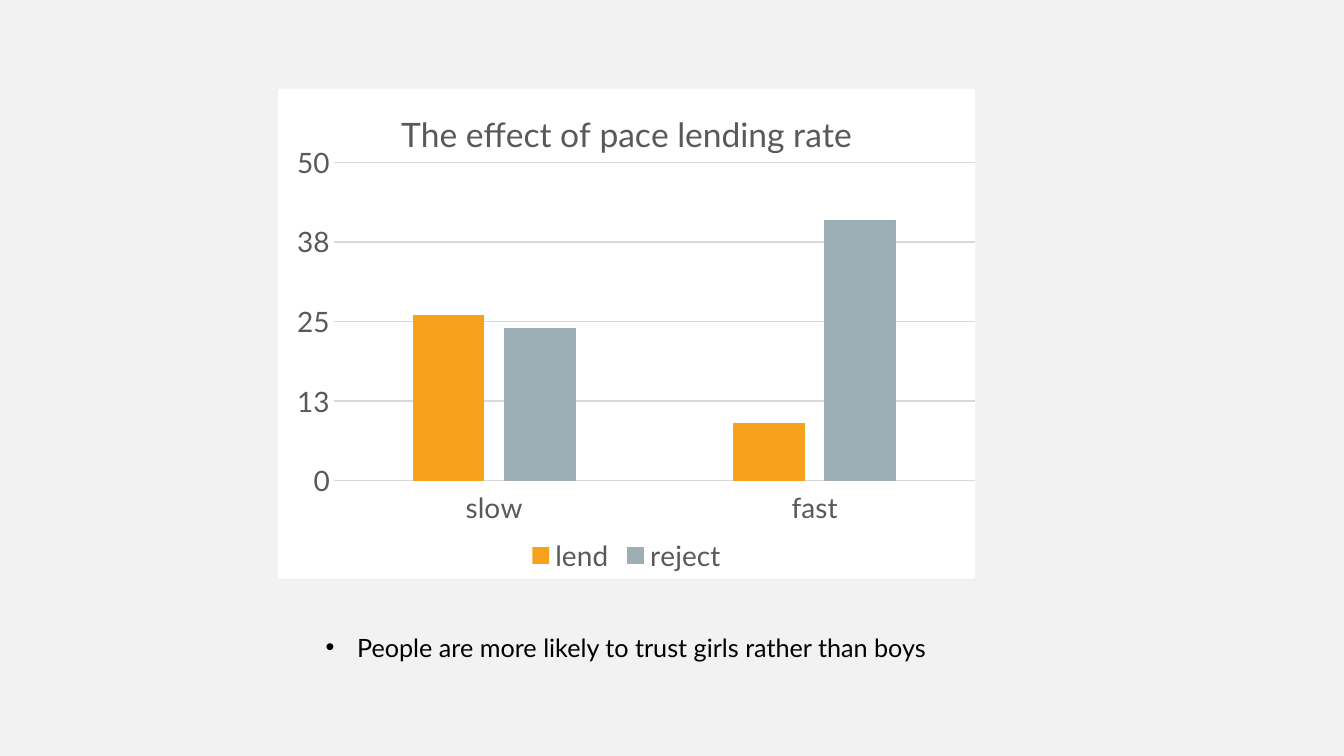
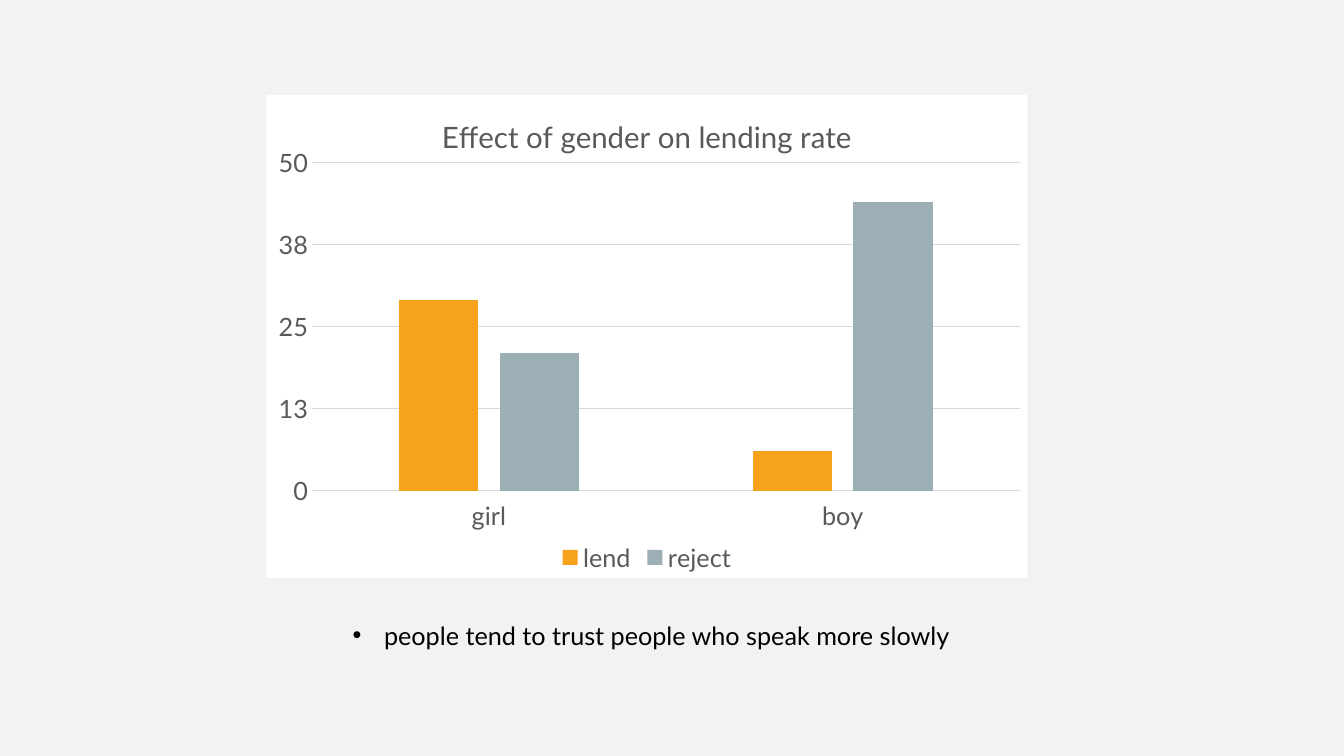
from lxml import etree
from pptx import Presentation
from pptx import util as u
from pptx.chart.data import CategoryChartData
from pptx.dml.color import RGBColor
from pptx.enum import chart as ch
from pptx.oxml import parse_xml
from pptx.oxml.ns import nsdecls, qn

PAPER = RGBColor(0xF2, 0xF2, 0xF2)
BLACK = RGBColor(0x00, 0x00, 0x00)
GREY = RGBColor(0x59, 0x59, 0x59)
RULE = RGBColor(0xD9, 0xD9, 0xD9)
BARS = {
    "lend": RGBColor(0xF6, 0xA2, 0x1D),
    "reject": RGBColor(0x9B, 0xAF, 0xB5),
}
FONT = "Lato"


def style(font, size, color):
    """Set face, size and colour of a font."""
    font.name, font.size, font.color.rgb = FONT, u.Pt(size), color


def panel(chart):
    """Give the chart a white, unframed background."""
    frame = parse_xml(
        f'<c:spPr {nsdecls("c", "a")}><a:solidFill><a:srgbClr val="FFFFFF"/>'
        "</a:solidFill><a:ln><a:noFill/></a:ln></c:spPr>")
    chart.element.find(qn("c:chart")).addnext(frame)


def place(chart, area):
    """Fix the inner plot area to fractions of the chart."""
    plot = chart.element.find(qn("c:chart")).find(qn("c:plotArea"))
    for old in plot.findall(qn("c:layout")):
        plot.remove(old)
    layout = parse_xml(f'<c:layout {nsdecls("c")}/>')
    man = etree.SubElement(layout, qn("c:manualLayout"))
    rules = [("layoutTarget", "inner"), ("xMode", "edge"), ("yMode", "edge")]
    for tag, val in rules + list(zip("xywh", area)):
        etree.SubElement(man, qn(f"c:{tag}")).set("val", str(val))
    plot.insert(0, layout)


def axes(chart, size):
    """Style both axes and the grid."""
    cat, val = chart.category_axis, chart.value_axis
    for axis in (cat, val):
        axis.major_tick_mark = axis.minor_tick_mark = ch.XL_TICK_MARK.NONE
        style(axis.tick_labels.font, size, GREY)
    cat.tick_label_position = ch.XL_TICK_LABEL_POSITION.LOW
    val.minimum_scale, val.maximum_scale, val.major_unit = 0, 50, 12.5
    val.tick_labels.number_format = "0"
    val.tick_labels.number_format_is_linked = False
    val.format.line.fill.background()
    for line in (cat.format.line, val.major_gridlines.format.line):
        line.color.rgb, line.width = RULE, u.Pt(1)


def graph(slide, box, title, head, size, cats, rows, area):
    """Draw the lend and reject columns in the box."""
    data = CategoryChartData()
    data.categories = cats
    for name, vals in zip(BARS, rows):
        data.add_series(name, vals)
    chart = slide.shapes.add_chart(
        ch.XL_CHART_TYPE.COLUMN_CLUSTERED, *map(u.Cm, box), data).chart
    style(chart.font, size, GREY)
    panel(chart)
    place(chart, area)
    axes(chart, size)

    frame = chart.chart_title.text_frame
    frame.text = title
    style(frame.paragraphs[0].runs[0].font, head, GREY)
    frame.paragraphs[0].runs[0].font.bold = False

    chart.has_legend = True
    chart.legend.position = ch.XL_LEGEND_POSITION.BOTTOM
    chart.legend.include_in_layout = False
    style(chart.legend.font, size, GREY)

    plot = chart.plots[0]
    plot.gap_width, plot.overlap, plot.vary_by_categories = 219, -27, False
    for series, color in zip(plot.series, BARS.values()):
        series.format.fill.solid()
        series.format.fill.fore_color.rgb = color


def note(slide, box, words):
    """Write one bulleted line in the box."""
    frame = slide.shapes.add_textbox(*map(u.Cm, box)).text_frame
    frame.word_wrap = True
    frame.margin_left = frame.margin_right = u.Cm(0.13)
    frame.margin_top = frame.margin_bottom = u.Cm(0.13)
    frame.text = words
    para = frame.paragraphs[0]
    style(para.runs[0].font, 18, BLACK)
    props = para._p.get_or_add_pPr()
    props.set("marL", str(u.Cm(0.79)))
    props.set("indent", str(-u.Cm(0.79)))
    etree.SubElement(props, qn("a:buFont")).set("typeface", "Arial")
    etree.SubElement(props, qn("a:buChar")).set("char", "•")


def main():
    """Build both slides and save them."""
    prs = Presentation()
    prs.slide_width, prs.slide_height = u.Cm(33.87), u.Cm(19.05)
    fill = prs.slide_master.background.fill
    fill.solid()
    fill.fore_color.rgb = PAPER

    pace = prs.slides.add_slide(prs.slide_layouts[6])
    graph(pace, (7.01, 2.24, 17.58, 12.34), "The effect of pace lending rate",
          24, 20, ("slow", "fast"), ((26, 9), (24, 41)),
          (0.08, 0.15, 0.92, 0.65))
    note(pace, (8.08, 15.8, 25.32, 1.02),
         "People are more likely to trust girls rather than boys")

    gender = prs.slides.add_slide(prs.slide_layouts[6])
    graph(gender, (6.71, 2.39, 19.18, 12.17),
          "Effect of gender on lending rate",
          21, 18, ("girl", "boy"), ((29, 6), (21, 44)),
          (0.06, 0.14, 0.93, 0.68))
    note(gender, (8.76, 15.49, 23.8, 1.8),
         "people tend to trust people who speak more slowly")

    prs.save("out.pptx")


main()
